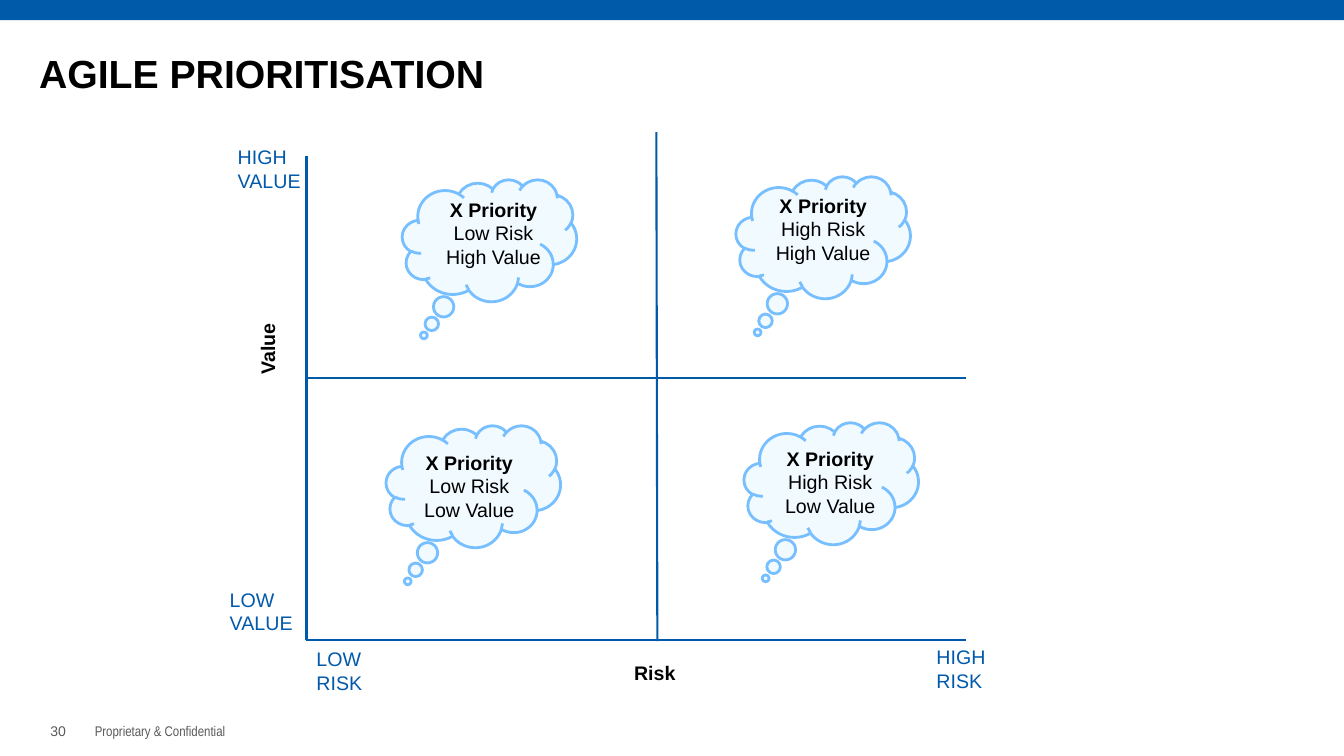
from lxml.etree import SubElement
from pptx import Presentation
from pptx.dml.color import RGBColor
from pptx.enum.shapes import MSO_CONNECTOR, MSO_SHAPE
from pptx.enum.text import MSO_ANCHOR, PP_ALIGN
from pptx.oxml.ns import qn
from pptx.util import Pt

PX = 9144  # one px is a hundredth of an inch
BLUE, LABEL_BLUE = "005AAA", "0059AB"
CLOUD_FILL, CLOUD_LINE = "C5EDFF", "77BFFF"
BLACK, GREY = "000000", "595959"

# Cloud position, text position, risk and value
QUADRANTS = [
    ((399, 178), (411, 191), "Low Risk", "High Value"),
    ((730, 175), (738, 187), "High Risk", "High Value"),
    ((383, 422), (387, 442), "Low Risk", "Low Value"),
    ((738, 419), (745, 438), "High Risk", "Low Value"),
]
AXIS_LINES = [
    (304, 155, 304, 635),
    (304, 635, 958, 635),
    (651, 131, 652, 636),
    (304, 375, 958, 375),
]
AXIS_ENDS = [
    (304, 637, ["LOW RISK"]),
    (919, 635, ["HIGH RISK"]),
    (218, 578, ["LOW", "VALUE"]),
    (226, 139, ["HIGH", "VALUE"]),
]


def px(*lengths):
    return [length * PX for length in lengths]


def color(hex_string):
    return RGBColor.from_string(hex_string)


def add_text(slide, box, lines, size=14, fill=BLACK, bold=False, font="Arial",
             align=PP_ALIGN.LEFT, anchor=MSO_ANCHOR.TOP, side_inset=10):
    shape = slide.shapes.add_textbox(*px(*box))
    frame = shape.text_frame
    frame.word_wrap = True
    frame.vertical_anchor = anchor
    frame.margin_left = frame.margin_right = side_inset * PX
    frame.margin_top = frame.margin_bottom = 5 * PX
    frame.text = "\n".join(lines)
    for paragraph in frame.paragraphs:
        paragraph.alignment = align
        for run in paragraph.runs:
            run.font.name = font
            run.font.size = Pt(size)
            run.font.bold = bold
            run.font.color.rgb = color(fill)
    return shape


def add_line(slide, ends):
    line = slide.shapes.add_connector(MSO_CONNECTOR.STRAIGHT, *px(*ends))
    line.line.color.rgb = color(BLUE)
    line.line.width = Pt(1.5)
    SubElement(line._element.spPr, qn("a:effectLst"))


def add_shape(slide, kind, box, fill):
    shape = slide.shapes.add_shape(kind, *px(*box))
    shape.shadow.inherit = False
    shape.fill.solid()
    shape.fill.fore_color.rgb = color(fill)
    shape.line.fill.background()
    return shape


def add_cloud(slide, position):
    cloud = add_shape(slide, MSO_SHAPE.CLOUD_CALLOUT, (*position, 173, 121), CLOUD_FILL)
    cloud.adjustments[0] = -0.376
    cloud.adjustments[1] = 0.779
    cloud.line.color.rgb = color(CLOUD_LINE)
    cloud.line.width = Pt(2)
    # Mostly transparent fill
    fill_color = cloud._element.spPr.find(qn("a:solidFill")).find(qn("a:srgbClr"))
    SubElement(fill_color, qn("a:alpha"), val="24000")


def add_priority(slide, position, risk, value):
    shape = add_text(slide, (*position, 157, 81), ["X Priority", risk, value],
                     align=PP_ALIGN.CENTER)
    shape.text_frame.paragraphs[0].runs[0].font.bold = True


def main():
    presentation = Presentation()
    presentation.slide_width, presentation.slide_height = px(1333, 750)
    slide = presentation.slides.add_slide(presentation.slide_layouts[6])

    # Top band, title and footer
    add_shape(slide, MSO_SHAPE.RECTANGLE, (0, 0, 1333, 20), BLUE)
    title = add_text(slide, (29, 49, 567, 53), ["AGILE PRIORITISATION"], size=28,
                     bold=True, anchor=MSO_ANCHOR.MIDDLE)
    title.text_frame.paragraphs[0].line_spacing = 0.9
    add_text(slide, (40, 698, 49, 40), ["30"], size=10, fill=GREY,
             anchor=MSO_ANCHOR.BOTTOM)
    add_text(slide, (89, 712, 248, 20), ["Proprietary & Confidential"], size=10,
             fill=GREY, font="Arial Narrow", side_inset=5)

    # Matrix: clouds, lines, then the words on top
    for cloud_position, *_ in QUADRANTS:
        add_cloud(slide, cloud_position)
    for ends in AXIS_LINES:
        add_line(slide, ends)
    for _, text_position, risk, value in QUADRANTS:
        add_priority(slide, text_position, risk, value)

    # Axis names and ends
    add_text(slide, (619, 651, 87, 34), ["Risk"], bold=True)
    value_name = add_text(slide, (214, 303, 113, 44), ["Value"], bold=True)
    value_name.rotation = 270
    for left, top, lines in AXIS_ENDS:
        add_text(slide, (left, top, 87, 57), lines, fill=LABEL_BLUE)

    presentation.save("out.pptx")


if __name__ == "__main__":
    main()
